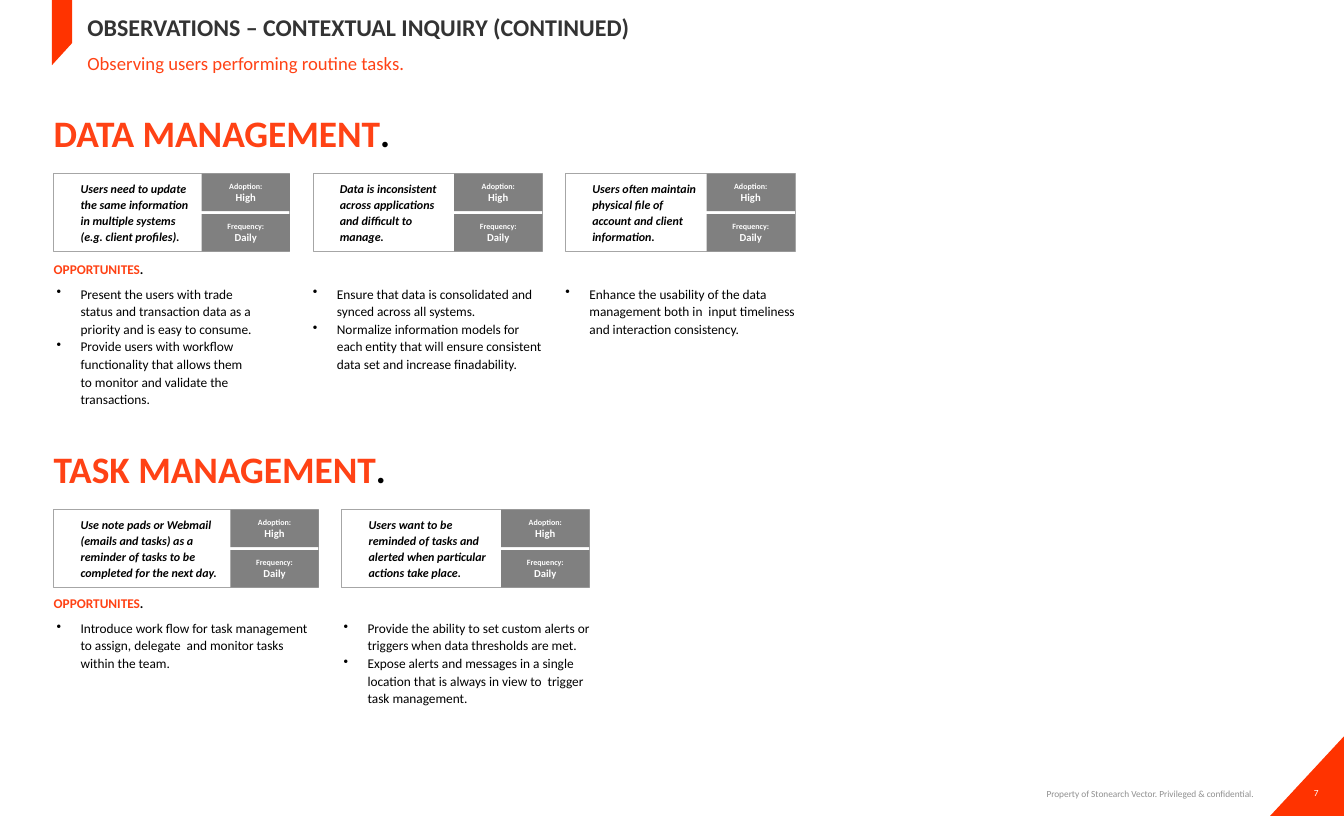
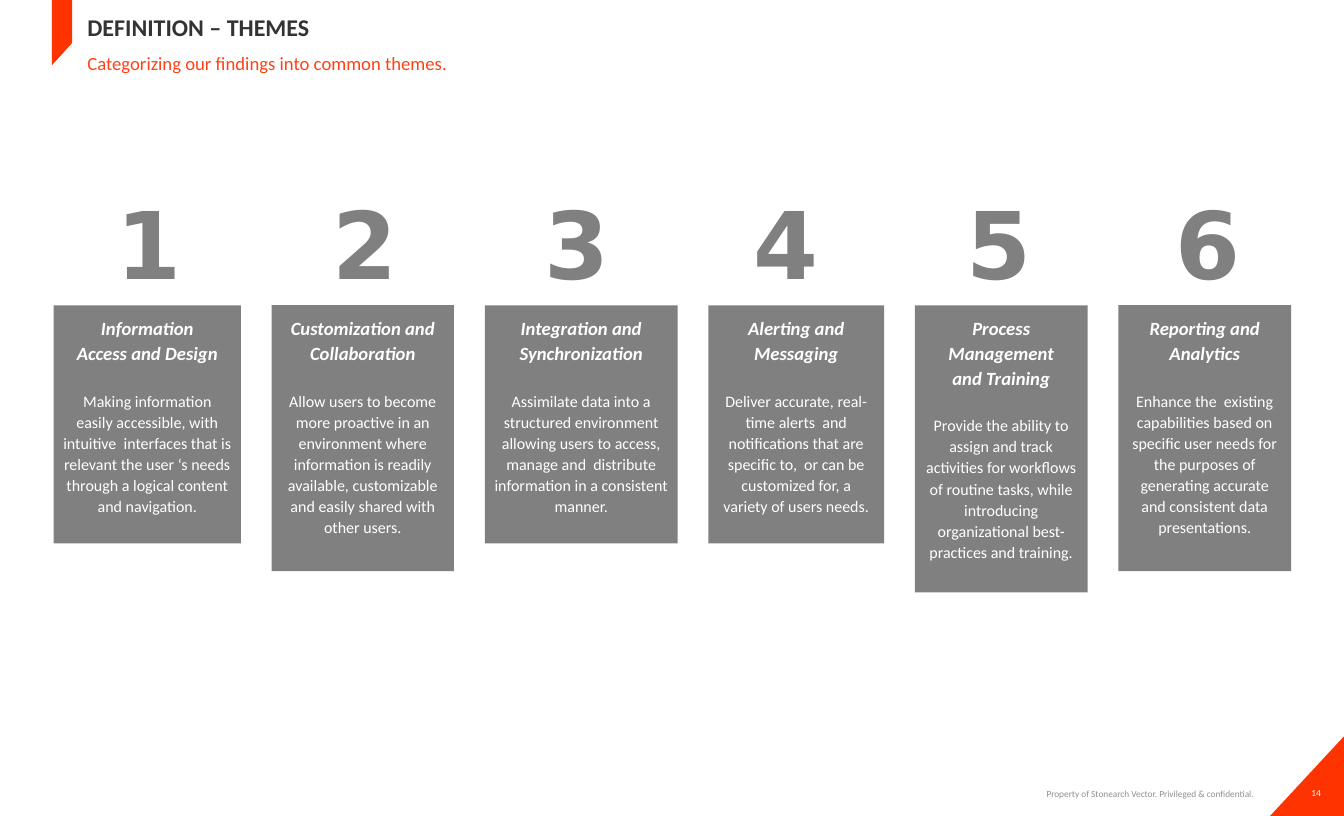
from lxml import etree
from pptx import Presentation
from pptx.dml.color import RGBColor
from pptx.enum.shapes import MSO_SHAPE
from pptx.enum.text import MSO_ANCHOR, PP_ALIGN
from pptx.oxml.ns import qn
from pptx.util import Inches, Pt

RECTANGLE, OVAL, TRIANGLE = MSO_SHAPE.RECTANGLE, MSO_SHAPE.OVAL, MSO_SHAPE.RIGHT_TRIANGLE
TOP, MIDDLE = MSO_ANCHOR.TOP, MSO_ANCHOR.MIDDLE
LEFT, CENTER, RIGHT = PP_ALIGN.LEFT, PP_ALIGN.CENTER, PP_ALIGN.RIGHT

COLORS = {
    "brand": "FF3300",
    "accent": "FF4215",
    "title": "333333",
    "text": "000000",
    "panel": "808080",
    "border": "A6A6A6",
    "footer": "909090",
    "white": "FFFFFF",
}
FONT, NUMBER_FONT = "Calibri", "DejaVu Sans"
FOOTER = "Property of Stonearch Vector. Privileged & confidential."
LABEL_INSETS = (0.06, 0.03, 0.06, 0.03)
NO_INSETS = (0, 0, 0, 0)

CARD_GAP, CARD_HEIGHT = 0.24, 0.81
BADGE_WIDTH, BADGE_HEIGHT = 0.92, 0.39
THEME_GAP = 0.32
MARGIN = 0.56

# Section: title, top, top of opportunities, columns.
# Column: card width, bullet offset and width, observation, opportunities.
SECTIONS = [
    ("DATA MANAGEMENT", 1.15, 2.72, [
        (2.46, 0.03, 2.08,
         "Users need to update the same information in multiple systems (e.g. client profiles).",
         ["Present the users with trade status and transaction data as a priority and is easy to consume.",
          "Provide users with workflow functionality that allows them to monitor and validate the transactions."]),
        (2.39, 0, 2.39,
         "Data is inconsistent across applications and difficult to manage.",
         ["Ensure that data is consolidated and synced across all systems.",
          "Normalize information models for each entity that will ensure consistent data set and increase finadability."]),
        (2.39, 0, 2.39,
         "Users often maintain physical file of account and client information.",
         ["Enhance the usability of the data management both in  input timeliness and interaction consistency."]),
    ]),
    ("TASK MANAGEMENT", 4.65, 6.2, [
        (2.76, 0.03, 2.74,
         "Use note pads or Webmail (emails and tasks) as a reminder of tasks to be completed for the next day.",
         ["Introduce work flow for task management to assign, delegate  and monitor tasks within the team."]),
        (2.58, 0.02, 2.57,
         "Users want to be reminded of tasks and alerted when particular actions take place.",
         ["Provide the ability to set custom alerts or triggers when data thresholds are met.",
          "Expose alerts and messages in a single location that is always in view to  trigger task management."]),
    ]),
]

# Theme: number left, panel width, panel height, heading lines, description.
THEMES = [
    (0.78, 1.95, 2.48, ["Information", "Access and Design"],
     "Making information easily accessible, with intuitive  interfaces that is relevant the user ‘s "
     "needs through a logical content and navigation."),
    (3.03, 1.9, 2.77, ["Customization and Collaboration"],
     "Allow users to become more proactive in an environment where information is readily available, "
     "customizable and easily shared with other users."),
    (5.23, 2.01, 2.48, ["Integration and Synchronization"],
     "Assimilate data into a structured environment allowing users to access, manage and  distribute "
     "information in a consistent manner."),
    (7.41, 1.83, 2.48, ["Alerting and", "Messaging"],
     "Deliver accurate, real-time alerts  and notifications that are specific to,  or can be "
     "customized for, a variety of users needs."),
    (9.63, 1.8, 2.99, ["Process Management", "and Training"],
     "Provide the ability to assign and track activities for workflows of routine tasks, while "
     "introducing organizational best-practices and training."),
    (11.81, 1.8, 2.77, ["Reporting and", "Analytics"],
     "Enhance the  existing capabilities based on specific user needs for the purposes of generating "
     "accurate and consistent data presentations."),
]


def rgb(name):
    return RGBColor.from_string(COLORS[name])


class Deck:
    """Holds the presentation, its style and the slide being built."""

    def __init__(self):
        self.presentation = Presentation()
        self.presentation.slide_width = Inches(14)
        self.presentation.slide_height = Inches(8.5)
        self.slide = None

    def start_slide(self, title, subtitle, number):
        self.slide = self.presentation.slides.add_slide(self.presentation.slide_layouts[6])
        self.label(9.96, 8.11, 3.1, 0.32, FOOTER, 7, "footer", align=RIGHT,
                   insets=(0.08, 0.04, 0, 0.04))
        corner = self.shape(TRIANGLE, 13.2, 7.7, 0.83, 0.77, "brand")
        corner.rotation = 270
        self.label(13.45, 8.17, 0.52, 0.18, str(number), 7, "white", align=CENTER)
        self.ribbon()
        self.label(0.85, 0, 11.81, 0.56, title, 18, "title", bold=True)
        self.label(0.85, 0.51, 11.81, 0.56, subtitle, 14, "accent", anchor=TOP)

    def ribbon(self):
        builder = self.slide.shapes.build_freeform(Inches(0.54), 0)
        corners = [(0.75, 0), (0.75, 0.45), (0.54, 0.68)]
        builder.add_line_segments([(Inches(x), Inches(y)) for x, y in corners], close=True)
        self.paint(builder.convert_to_shape(), "brand")

    def paint(self, shape, fill, line=None):
        shape.shadow.inherit = False
        if fill:
            shape.fill.solid()
            shape.fill.fore_color.rgb = rgb(fill)
        else:
            shape.fill.background()
        if line:
            shape.line.color.rgb = rgb(line)
            shape.line.width = Pt(0.5)
        else:
            shape.line.fill.background()

    def shape(self, kind, left, top, width, height, fill=None, line=None):
        shape = self.slide.shapes.add_shape(
            kind, Inches(left), Inches(top), Inches(width), Inches(height))
        self.paint(shape, fill, line)
        return shape

    def style_run(self, run, size, color, bold=False, italic=False, font=FONT):
        run.font.name = font
        run.font.size = Pt(size)
        run.font.color.rgb = rgb(color)
        run.font.bold = bold
        run.font.italic = italic

    def set_text(self, frame, text, size, color, align=LEFT, anchor=TOP, spacing=1.0,
                 insets=(0.1, 0.05, 0.1, 0.05), wrap=True, **run_style):
        frame.text = text
        frame.word_wrap = wrap
        frame.vertical_anchor = anchor
        frame.margin_left, frame.margin_top, frame.margin_right, frame.margin_bottom = map(Inches, insets)
        for paragraph in frame.paragraphs:
            paragraph.alignment = align
            paragraph.line_spacing = spacing
            for run in paragraph.runs:
                self.style_run(run, size, color, **run_style)

    def label(self, left, top, width, height, text, size, color, anchor=MIDDLE,
              insets=LABEL_INSETS, **style):
        box = self.slide.shapes.add_textbox(Inches(left), Inches(top), Inches(width), Inches(height))
        self.set_text(box.text_frame, text, size, color, anchor=anchor, insets=insets, **style)
        return box.text_frame

    def dotted_heading(self, top, width, height, text, size):
        """Accent heading that ends in a black full stop."""
        frame = self.label(MARGIN, top, width, height, text, size, "accent",
                           insets=NO_INSETS, wrap=False, bold=True)
        stop = frame.paragraphs[0].add_run()
        stop.text = "."
        self.style_run(stop, size, "text", bold=True)

    def bullets(self, left, top, width, items):
        frame = self.label(left, top, width, 1.09, "\n".join(items), 10, "text",
                           anchor=TOP, insets=NO_INSETS, spacing=1.1)
        for paragraph in frame.paragraphs:
            properties = paragraph._p.get_or_add_pPr()
            properties.set("marL", str(Inches(0.25)))
            properties.set("indent", str(-Inches(0.25)))
            etree.SubElement(properties, qn("a:buChar")).set("char", "•")

    def badge(self, left, top, caption, rating):
        badge = self.shape(RECTANGLE, left, top, BADGE_WIDTH, BADGE_HEIGHT, "panel")
        self.set_text(badge.text_frame, f"{caption}:\n{rating}", 6, "white",
                      align=CENTER, anchor=MIDDLE, bold=True)
        badge.text_frame.paragraphs[1].runs[0].font.size = Pt(8)

    def observation_card(self, left, top, width, observation):
        card = self.shape(RECTANGLE, left, top, width, CARD_HEIGHT, "white", "border")
        self.set_text(card.text_frame, observation, 9, "text", spacing=1.1,
                      insets=(0.28, 0.07, 1, 0.07), bold=True, italic=True)
        badge_left = left + width - BADGE_WIDTH
        self.badge(badge_left, top, "Adoption", "High")
        self.badge(badge_left, top + CARD_HEIGHT - BADGE_HEIGHT, "Frequency", "Daily")

    def section(self, title, top, opportunities_top, columns):
        self.dotted_heading(top, 3.69, 0.47, title, 28)
        self.dotted_heading(opportunities_top, 1.02, 0.17, "OPPORTUNITES", 10)
        left = MARGIN
        for width, bullet_offset, bullet_width, observation, opportunities in columns:
            self.observation_card(left, top + 0.66, width, observation)
            self.bullets(left + bullet_offset, opportunities_top + 0.24, bullet_width, opportunities)
            left += width + CARD_GAP

    def theme_number(self, left, number):
        circle = self.shape(OVAL, left, 1.63, 1.55, 1.79)
        self.set_text(circle.text_frame, str(number), 70, "panel", align=CENTER, anchor=MIDDLE,
                      wrap=False, bold=True, font=NUMBER_FONT)

    def theme_panel(self, left, width, height, heading, description):
        panel = self.shape(RECTANGLE, left, 3.18, width, height, "panel")
        self.set_text(panel.text_frame, "\n".join([*heading, description]), 14, "white",
                      align=CENTER, spacing=1.1, insets=(0.1, 0.1, 0.1, 0.1), bold=True, italic=True)
        body = panel.text_frame.paragraphs[-1]
        body.space_before = Pt(18.8)
        self.style_run(body.runs[0], 12, "white")


def main():
    deck = Deck()

    deck.start_slide("OBSERVATIONS – CONTEXTUAL INQUIRY (CONTINUED)",
                     "Observing users performing routine tasks.", 7)
    for section in SECTIONS:
        deck.section(*section)

    deck.start_slide("DEFINITION – THEMES", "Categorizing our findings into common themes.", 14)
    left = MARGIN
    for number, (number_left, width, height, heading, description) in enumerate(THEMES, 1):
        deck.theme_number(number_left, number)
        deck.theme_panel(left, width, height, heading, description)
        left += width + THEME_GAP

    deck.presentation.save("out.pptx")


if __name__ == "__main__":
    main()
